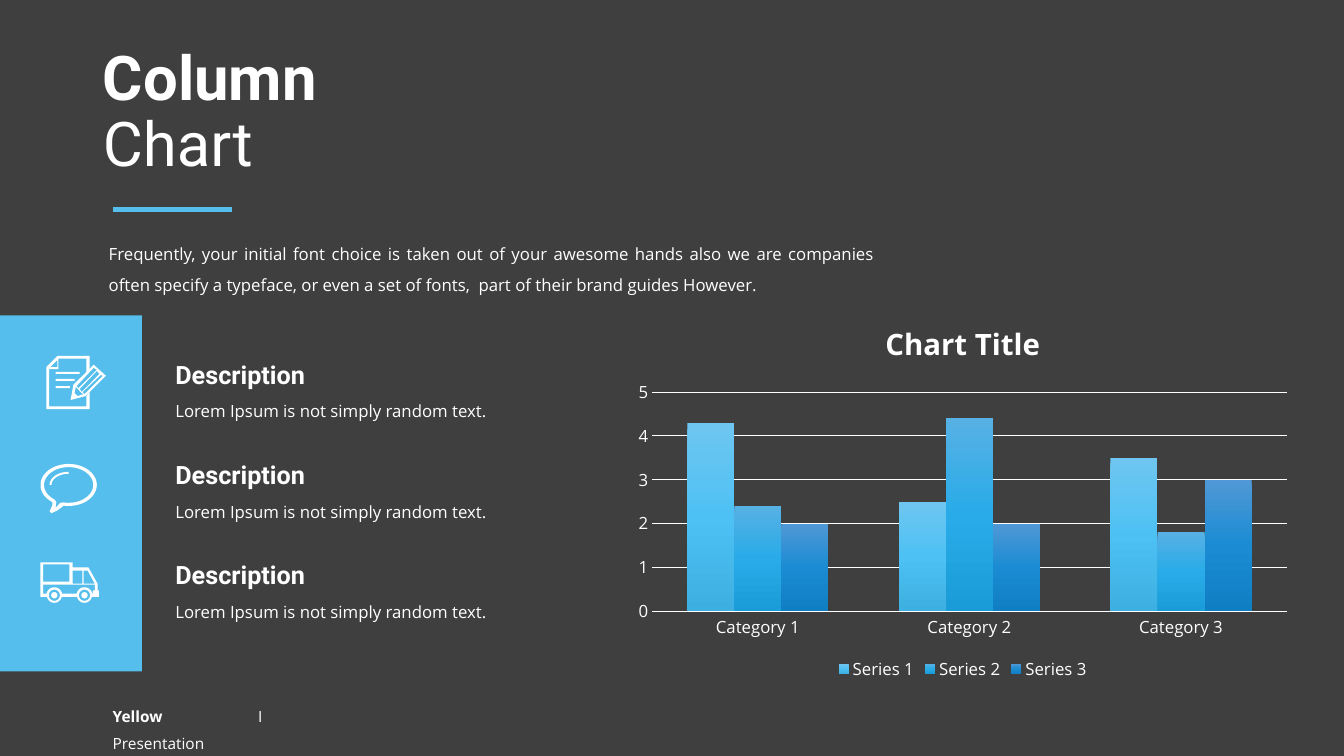
"""Build a dark slide with a column chart and three described icons."""
from copy import deepcopy
from math import cos, radians, sin

from pptx import Presentation
from pptx.chart.data import CategoryChartData as Data
from pptx.dml.color import RGBColor
from pptx.enum.chart import XL_CHART_TYPE as Kind
from pptx.enum.chart import XL_LEGEND_POSITION as Spot
from pptx.enum.chart import XL_TICK_MARK as Tick
from pptx.enum.shapes import MSO_CONNECTOR as Link
from pptx.enum.shapes import MSO_SHAPE as Form
from pptx.enum.text import MSO_ANCHOR as Anchor
from pptx.enum.text import MSO_AUTO_SIZE as Fit
from pptx.enum.text import PP_ALIGN as Align
from pptx.oxml.ns import qn
from pptx.util import Cm, Pt

DARK = RGBColor(0x3F, 0x3F, 0x3F)
SKY = RGBColor(0x56, 0xBE, 0xEC)
WHITE = RGBColor(0xFF, 0xFF, 0xFF)
SERIES = [
    ("Series 1", (4.3, 2.5, 3.5), (RGBColor(0x6E, 0xC6, 0xF0),
     RGBColor(0x4E, 0xC1, 0xF4), RGBColor(0x3D, 0xAF, 0xE1))),
    ("Series 2", (2.4, 4.4, 1.8), (RGBColor(0x57, 0xB1, 0xE4),
     RGBColor(0x28, 0xAB, 0xE8), RGBColor(0x1A, 0x9C, 0xD8))),
    ("Series 3", (2, 2, 3), (RGBColor(0x50, 0x98, 0xD5),
     RGBColor(0x1B, 0x8C, 0xD3), RGBColor(0x10, 0x7E, 0xC3))),
]
HEAD, BODY = "Roboto", "Open Sans"


def style(font, size, name=BODY, bold=False):
    """Set a font to white in the given size, face and weight."""
    font.size, font.name, font.bold = Pt(size), name, bold
    font.color.rgb = WHITE


def write(frame, *parts, size=12, name=BODY, bold=(), align=Align.LEFT,
          space=1.0, before=0, split=False, wrap=True):
    """Write the parts as runs of one paragraph, those listed in bold being bold."""
    frame.word_wrap, frame.auto_size = wrap, Fit.NONE
    para = frame.paragraphs[0]
    para.alignment, para.line_spacing = align, space
    para.space_before = Pt(before)
    for i, part in enumerate(parts):
        if split and i:
            para.add_line_break()
        run = para.add_run()
        run.text = part
        style(run.font, size, name, i in bold)


def label(slide, x, y, w, h, *parts, **look):
    """Add a text box at the given place."""
    box = slide.shapes.add_textbox(Cm(x), Cm(y), Cm(w), Cm(h))
    write(box.text_frame, *parts, **look)


def paint(shape, color=WHITE):
    """Give a shape a plain fill with no line or shadow."""
    shape.shadow.inherit = False
    shape.fill.solid()
    shape.fill.fore_color.rgb = color
    shape.line.fill.background()


def block(shapes, x, y, w, h, form=Form.RECTANGLE, color=WHITE):
    """Add a filled preset shape."""
    paint(shapes.add_shape(form, Cm(x), Cm(y), Cm(w), Cm(h)), color)


def trace(shapes, *loops):
    """Add one outline made of closed loops, inner loops being holes."""
    loops = [[(Cm(x), Cm(y)) for x, y in loop] for loop in loops]
    pen = shapes.build_freeform(*loops[0][0])
    for i, loop in enumerate(loops):
        if i:
            pen.move_to(*loop[0])
        pen.add_line_segments(loop[1:], close=True)
    paint(pen.convert_to_shape())


def arc(x, y, rx, ry, start, end, steps=40):
    """List the points of an arc between two angles."""
    turns = [radians(start + (end - start) * i / steps) for i in range(steps + 1)]
    return [(x + rx * cos(t), y + ry * sin(t)) for t in turns]


def rect(x, y, right, low):
    """List the corners of a rectangle."""
    return [(x, y), (right, y), (right, low), (x, low)]


def draw_note(shapes):
    """Draw the page with the pencil."""
    for i, w in enumerate((0.61, 0.48, 0.36)):
        block(shapes, 1.4, 9.37 + 0.18 * i, w, 0.05)
    trace(shapes,
          [(2.18, 10.24), (1.24, 10.24), (1.24, 9.3), (1.47, 9.3), (1.47, 9.04),
           (2.18, 9.04), (2.18, 9.4), (2.26, 9.32), (2.26, 8.97), (1.45, 8.97),
           (1.17, 9.25), (1.17, 10.31), (2.26, 10.31), (2.26, 9.88), (2.18, 9.98)],
          [(1.27, 9.25), (1.45, 9.07), (1.45, 9.25)])
    trace(shapes,
          [(2.36, 9.19), (1.85, 9.7), (1.78, 10.08), (2.16, 9.98), (2.67, 9.47)],
          [(2.51, 9.42), (2.06, 9.88), (2.01, 9.8), (2.44, 9.35)],
          [(1.98, 9.78), (1.93, 9.73), (2.36, 9.27), (2.44, 9.32)],
          [(1.96, 9.8), (2.06, 9.91), (2.11, 9.93), (1.96, 9.98), (1.88, 9.91),
           (1.91, 9.75)],
          [(2.13, 9.93), (2.08, 9.88), (2.54, 9.45), (2.59, 9.47)])


def draw_talk(shapes):
    """Draw the speech bubble."""
    x, y = 1.73, 12.22
    trace(shapes, arc(x, y, 0.48, 0.33, 180, 270) + arc(x, y, 0.43, 0.28, 270, 180))
    trace(shapes,
          arc(x, y, 0.71, 0.53, 125, 460)
          + [(1.45, 12.86), (1.3, 12.93), (1.25, 12.89), (1.32, 12.73)],
          arc(x, y, 0.62, 0.45, 125, 462)
          + [(1.52, 12.67), (1.4, 12.8), (1.42, 12.65)])


def draw_truck(shapes):
    """Draw the truck."""
    back, front, y = 1.37, 2.13, 15
    low = [arc(x, y, 0.19, 0.19, 12, 168) for x in (front, back)]
    top = [arc(x, y, 0.2, 0.2, -12, -168) for x in (front, back)]
    trace(shapes,
          [(1.02, 14.17), (1.83, 14.17), (1.83, 14.3), (2.23, 14.3), (2.46, 14.71),
           (2.46, 14.88), (2.49, 14.88), (2.49, 15.04), *low[0], *low[1],
           (1.02, 15.04)],
          rect(1.09, 14.22, 1.75, 14.66),
          rect(1.83, 14.38, 2.08, 14.71),
          [(2.11, 14.38), (2.21, 14.38), (2.39, 14.71), (2.11, 14.71)],
          [(1.09, 14.73), (2.39, 14.73), (2.39, 14.88), (2.34, 14.88),
           (2.34, 14.96), *top[0], *top[1], (1.09, 14.96)],
          *[arc(x, y, 0.14, 0.14, 0, 360) for x in (back, front)])
    for x in (back, front):
        block(shapes, x - 0.08, y - 0.08, 0.16, 0.16, Form.OVAL)


def rule(slide, x, y, end):
    """Add the accent line under the title."""
    line = slide.shapes.add_connector(Link.STRAIGHT, Cm(x), Cm(y), Cm(end), Cm(y))
    line.line.color.rgb, line.line.width = SKY, Pt(3.5)
    props = line._element.spPr
    props.append(props.makeelement(qn("a:effectLst"), {}))


def shade(row, tones):
    """Fill a series with a three-tone gradient from top to bottom."""
    fill = row.format.fill
    fill.gradient()
    first = next(row._element.iter(qn("a:gs")))
    first.addnext(deepcopy(first))
    fill.gradient_angle = 270
    for i, (stop, tone) in enumerate(zip(fill.gradient_stops, tones)):
        stop.position, stop.color.rgb = i / 2, tone


def plot(slide, x, y, w, h):
    """Add the column chart."""
    data = Data()
    data.categories = [f"Category {i}" for i in (1, 2, 3)]
    for name, vals, _ in SERIES:
        data.add_series(name, vals)
    chart = slide.shapes.add_chart(
        Kind.COLUMN_CLUSTERED, Cm(x), Cm(y), Cm(w), Cm(h), data).chart
    style(chart.font, 12)
    write(chart.chart_title.text_frame, "Chart Title", size=21, bold=(0,),
          align=Align.CENTER)
    chart.has_legend = True
    chart.legend.position, chart.legend.include_in_layout = Spot.BOTTOM, False
    style(chart.legend.font, 12)
    cats, vals = chart.category_axis, chart.value_axis
    for axis in (cats, vals):
        axis.major_tick_mark = axis.minor_tick_mark = Tick.NONE
        style(axis.tick_labels.font, 12)
    cats.format.line.color.rgb, cats.format.line.width = WHITE, Pt(1)
    vals.format.line.fill.background()
    vals.minimum_scale, vals.maximum_scale, vals.major_unit = 0, 5, 1
    grid = vals.major_gridlines.format.line
    grid.color.rgb, grid.width = WHITE, Pt(0.75)
    bars = chart.plots[0]
    bars.gap_width, bars.overlap, bars.vary_by_categories = 150, 0, False
    for row, (_, _, tones) in zip(bars.series, SERIES):
        shade(row, tones)


def main():
    """Build and save the slide."""
    deck = Presentation()
    deck.slide_width, deck.slide_height = Cm(33.87), Cm(19.05)
    slide = deck.slides.add_slide(deck.slide_layouts[5])
    slide.background.fill.solid()
    slide.background.fill.fore_color.rgb = DARK
    title = slide.shapes.title
    title.left, title.top, title.width, title.height = Cm(2.34), Cm(1.02), Cm(29.2), Cm(3.68)
    title.text_frame.vertical_anchor = Anchor.MIDDLE
    write(title.text_frame, "Column", "Chart", size=44, name=HEAD, bold=(0,),
          space=0.9, split=True)
    rule(slide, 2.84, 5.28, 5.84)
    label(slide, 2.59, 17.45, 4.27, 0.86, "Yellow ", "I Presentation", size=11,
          bold=(0,), align=Align.JUSTIFY, space=1.5)
    label(slide, 2.49, 5.77, 19.81, 1.88,
          "Frequently, your initial font choice is taken out of your awesome hands "
          "also we are companies often specify a typeface, or even a set of fonts,  "
          "part of their brand guides However.",
          align=Align.JUSTIFY, space=1.5, before=10)
    block(slide.shapes, 0, 7.95, 3.58, 8.97, color=SKY)
    for i, draw in enumerate((draw_note, draw_talk, draw_truck)):
        draw(slide.shapes.add_group_shape().shapes)
        y = 8.92 + 2.53 * i
        label(slide, 4.17, y, 4.1, 1.02, "Description", size=18, name=HEAD,
              bold=(0,), wrap=False)
        label(slide, 4.17, y + 0.81, 8.46, 0.97,
              "Lorem Ipsum is not simply random text.", space=1.5)
    plot(slide, 15.75, 7.62, 17.02, 9.63)
    deck.save("out.pptx")


main()
